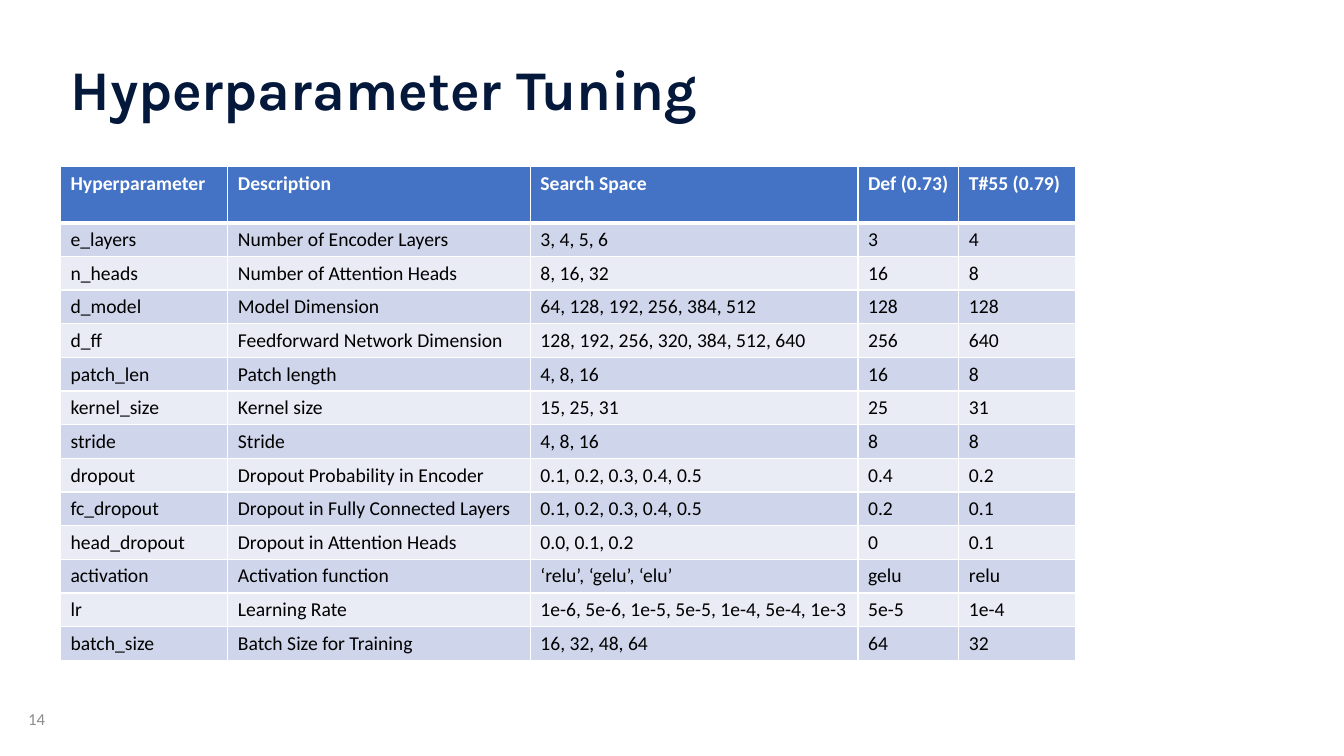
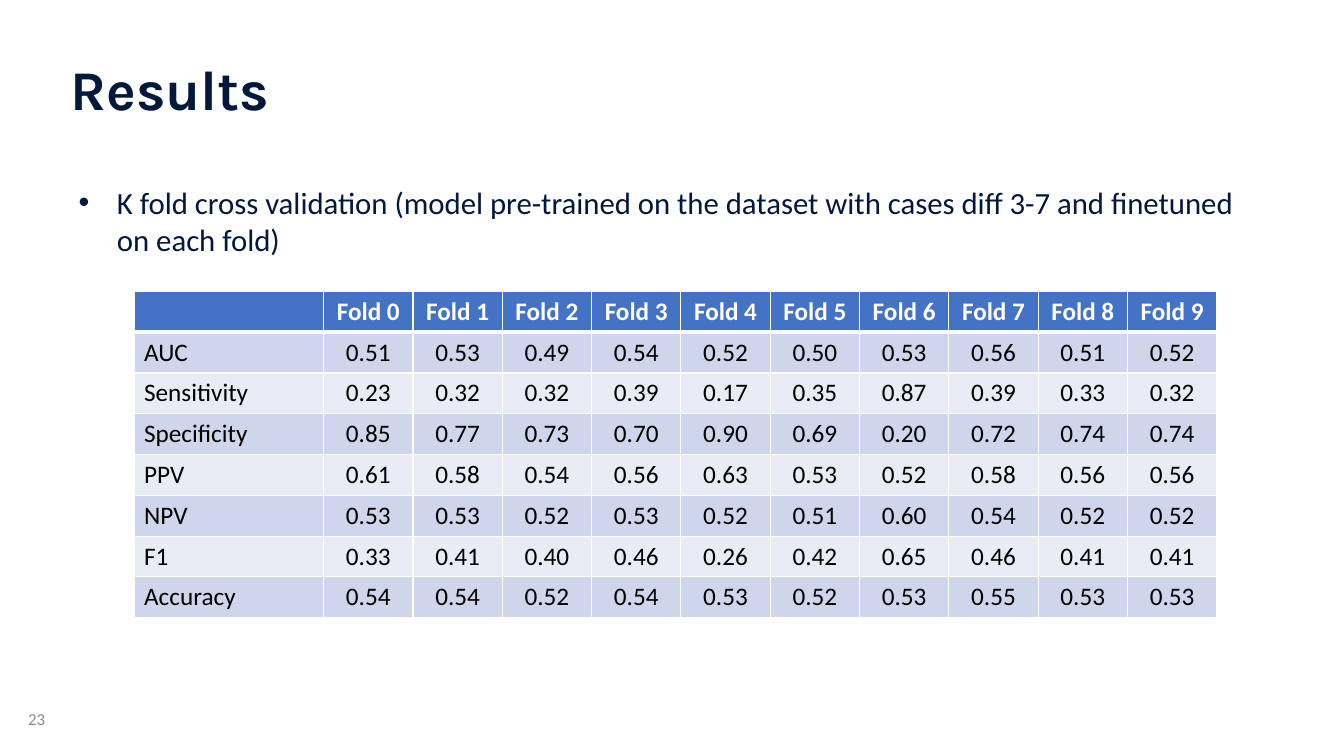
from lxml import etree
from pptx import Presentation
from pptx.dml.color import RGBColor
from pptx.enum.text import MSO_ANCHOR, MSO_AUTO_SIZE, PP_ALIGN
from pptx.oxml.ns import qn
from pptx.util import Inches, Pt

TOP, MIDDLE = MSO_ANCHOR.TOP, MSO_ANCHOR.MIDDLE
LEFT, CENTER = PP_ALIGN.LEFT, PP_ALIGN.CENTER
FIT_SHAPE = MSO_AUTO_SIZE.SHAPE_TO_FIT_TEXT

NAVY, GREY, WHITE, BLACK = "04183B", "8C8C8C", "FFFFFF", "000000"
HEADER_FILL = "4472C4"
BAND_FILLS = ("CFD5EA", "E9EBF5")
TITLE_FONT, BODY_FONT = "Karla", "Calibri"
TITLE_ONLY, TITLE_AND_BODY = 5, 1
NUMBER_BOX = (0.18, 6.93, 0.57, 0.4)

TUNING_ROWS = [
    ("Hyperparameter", "Description", "Search Space", "Def (0.73)", "T#55 (0.79)"),
    ("e_layers", "Number of Encoder Layers", "3, 4, 5, 6", "3", "4"),
    ("n_heads", "Number of Attention Heads", "8, 16, 32", "16", "8"),
    ("d_model", "Model Dimension", "64, 128, 192, 256, 384, 512", "128", "128"),
    ("d_ff", "Feedforward Network Dimension", "128, 192, 256, 320, 384, 512, 640", "256", "640"),
    ("patch_len", "Patch length", "4, 8, 16", "16", "8"),
    ("kernel_size", "Kernel size", "15, 25, 31", "25", "31"),
    ("stride", "Stride", "4, 8, 16", "8", "8"),
    ("dropout", "Dropout Probability in Encoder", "0.1, 0.2, 0.3, 0.4, 0.5", "0.4", "0.2"),
    ("fc_dropout", "Dropout in Fully Connected Layers", "0.1, 0.2, 0.3, 0.4, 0.5", "0.2", "0.1"),
    ("head_dropout", "Dropout in Attention Heads", "0.0, 0.1, 0.2", "0", "0.1"),
    ("activation", "Activation function", "‘relu’, ‘gelu’, ‘elu’", "gelu", "relu"),
    ("lr", "Learning Rate", "1e-6, 5e-6, 1e-5, 5e-5, 1e-4, 5e-4, 1e-3", "5e-5", "1e-4"),
    ("batch_size", "Batch Size for Training", "16, 32, 48, 64", "64", "32"),
]

FOLD_SCORES = {
    "AUC": "0.51 0.53 0.49 0.54 0.52 0.50 0.53 0.56 0.51 0.52",
    "Sensitivity": "0.23 0.32 0.32 0.39 0.17 0.35 0.87 0.39 0.33 0.32",
    "Specificity": "0.85 0.77 0.73 0.70 0.90 0.69 0.20 0.72 0.74 0.74",
    "PPV": "0.61 0.58 0.54 0.56 0.63 0.53 0.52 0.58 0.56 0.56",
    "NPV": "0.53 0.53 0.52 0.53 0.52 0.51 0.60 0.54 0.52 0.52",
    "F1": "0.33 0.41 0.40 0.46 0.26 0.42 0.65 0.46 0.41 0.41",
    "Accuracy": "0.54 0.54 0.52 0.54 0.53 0.52 0.53 0.55 0.53 0.53",
}


def color(value):
    return RGBColor.from_string(value)


def place(shape, box):
    shape.left, shape.top, shape.width, shape.height = map(Inches, box)


def write(frame, text, size, ink, font=BODY_FONT, bold=False, align=LEFT):
    para = frame.paragraphs[0]
    para.alignment = align
    para.line_spacing = 1.0
    para.font.size = Pt(size)
    if text:
        span = para.add_run()
        span.text = text
        span.font.name = font
        span.font.size = Pt(size)
        span.font.bold = bold
        span.font.color.rgb = color(ink)
    return para


def add_page(deck, layout, title, title_box, number):
    page = deck.slides.add_slide(deck.slide_layouts[layout])
    heading = page.shapes.title
    place(heading, title_box)
    frame = heading.text_frame
    frame.vertical_anchor = TOP
    frame.auto_size = FIT_SHAPE
    write(frame, title, 40, NAVY, TITLE_FONT, True)
    footer = page.shapes.add_textbox(*map(Inches, NUMBER_BOX)).text_frame
    footer.word_wrap = True
    footer.vertical_anchor = MIDDLE
    write(footer, str(number), 12, GREY)
    return page


def fill_bullet(body, box, text):
    place(body, box)
    frame = body.text_frame
    frame.vertical_anchor = TOP
    frame.auto_size = FIT_SHAPE
    para = write(frame, text, 22, NAVY)
    para.space_before = para.space_after = Pt(6)
    props = para._p.get_or_add_pPr()
    props.set("marL", str(Inches(0.38)))
    props.set("indent", str(Inches(-0.38)))
    etree.SubElement(props, qn("a:buFont")).set("typeface", "Arial")
    etree.SubElement(props, qn("a:buChar")).set("char", "•")


def add_borders(cell, row):
    props = cell._tc.get_or_add_tcPr()
    for side in "LRTB":
        thick = (row, side) in ((0, "B"), (1, "T"))
        line = etree.SubElement(props, qn("a:ln" + side))
        line.set("w", str(Pt(3 if thick else 1)))
        fill = etree.SubElement(line, qn("a:solidFill"))
        etree.SubElement(fill, qn("a:srgbClr")).set("val", WHITE)


def add_grid(page, box, rows, widths, header_height, size, value_align):
    grid = page.shapes.add_table(len(rows), len(widths), *map(Inches, box)).table
    row_height = (box[3] - header_height) / (len(rows) - 1)
    for column, width in zip(grid.columns, widths):
        column.width = Inches(width)
    for i, texts in enumerate(rows):
        header = i == 0
        grid.rows[i].height = Inches(header_height if header else row_height)
        for j, text in enumerate(texts):
            cell = grid.cell(i, j)
            add_borders(cell, i)
            cell.fill.solid()
            cell.fill.fore_color.rgb = color(HEADER_FILL if header else BAND_FILLS[(i - 1) % 2])
            write(cell.text_frame, text, size, WHITE if header else BLACK,
                  bold=header, align=value_align if j else LEFT)


def add_tuning_page(deck):
    page = add_page(deck, TITLE_ONLY, "Hyperparameter Tuning", (0.6, 0.49, 10.47, 0.77), 14)
    add_grid(page, (0.6, 1.65, 10.07, 4.9), TUNING_ROWS,
             (1.66, 3, 3.25, 1, 1.16), 0.56, 14, LEFT)


def add_results_page(deck):
    page = add_page(deck, TITLE_AND_BODY, "Results", (0.6, 0.49, 7.23, 0.77), 23)
    fill_bullet(page.placeholders[1], (0.68, 1.77, 12.03, 0.84),
                "K fold cross validation (model pre-trained on the dataset with "
                "cases diff 3-7 and finetuned on each fold)")
    box = (1.33, 2.89, 10.74, 3.24)
    folds = 10
    label_width = 1.88
    widths = [label_width] + [(box[2] - label_width) / folds] * folds
    rows = [["", *(f"Fold {fold}" for fold in range(folds))]]
    rows += [[name, *scores.split()] for name, scores in FOLD_SCORES.items()]
    add_grid(page, box, rows, widths, box[3] / len(rows), 18, CENTER)


def main():
    deck = Presentation()
    deck.slide_width, deck.slide_height = Inches(13.33), Inches(7.5)
    add_tuning_page(deck)
    add_results_page(deck)
    deck.save("out.pptx")


if __name__ == "__main__":
    main()
